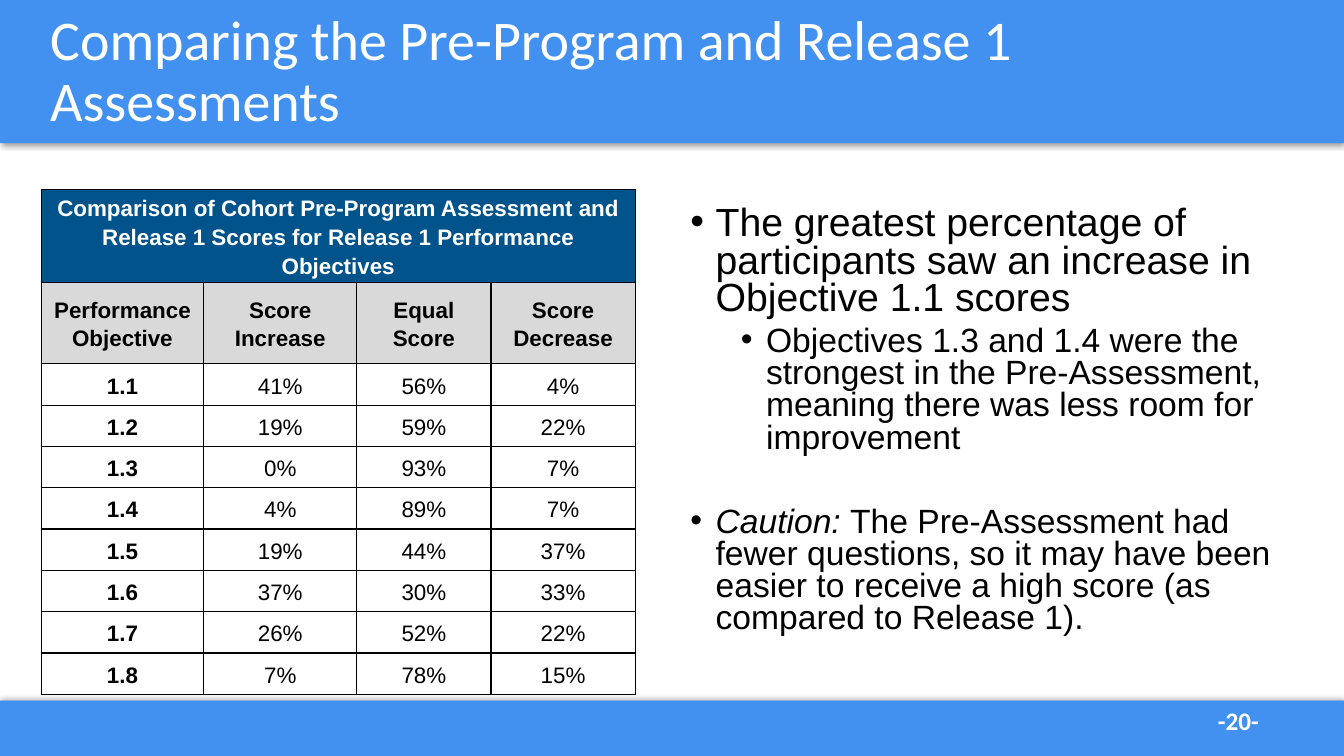
from dataclasses import dataclass

from lxml.etree import SubElement
from pptx import Presentation
from pptx.dml.color import RGBColor
from pptx.enum.shapes import MSO_SHAPE
from pptx.enum.text import MSO_ANCHOR, PP_ALIGN
from pptx.oxml.ns import qn
from pptx.slide import Slide
from pptx.table import _Cell
from pptx.text.text import _Paragraph, _Run
from pptx.util import Inches, Pt


@dataclass(frozen=True)
class Theme:
    band: str = "4291F0"
    table_title: str = "00538B"
    table_head: str = "D9D9D9"
    light: str = "FFFFFF"
    dark: str = "000000"
    heading_font: str = "Calibri"
    body_font: str = "Arial"
    title_size: int = 40
    number_size: int = 18
    table_size: int = 16
    point_size: int = 28
    detail_size: int = 24


@dataclass(frozen=True)
class Band:
    top: float
    height: float
    shadow_angle: int


@dataclass(frozen=True)
class Label:
    text: str
    left: float
    top: float
    width: float
    height: float
    size: int
    bold: bool = False
    anchor: MSO_ANCHOR = MSO_ANCHOR.TOP
    line_spacing: float = 1.0


@dataclass(frozen=True)
class Bullet:
    text: str
    size: int
    indent: float
    space_before: int
    level: int = 0
    lead: str = ""


THEME = Theme()
PAGE_WIDTH, PAGE_HEIGHT = 13.33, 7.5

BANDS = [Band(6.95, 0.55, 270), Band(0, 1.42, 90)]

LABELS = [
    Label("-20-", 11.98, 6.95, 0.98, 0.4, THEME.number_size, bold=True),
    Label("Comparing the Pre-Program and Release 1 Assessments", 0.4, 0, 10.87, 1.45,
          THEME.title_size, anchor=MSO_ANCHOR.MIDDLE, line_spacing=0.9),
]

TABLE_TITLE = ("Comparison of Cohort Pre-Program Assessment and Release 1 Scores "
               "for Release 1 Performance Objectives")
TABLE_HEAD = ["Performance Objective", "Score Increase", "Equal Score", "Score Decrease"]
COLUMN_WIDTHS = [1.61, 1.52, 1.33, 1.43]
HEAD_HEIGHT, ROW_HEIGHT = 0.81, 0.41
SCORES = [
    ("1.1", 41, 56, 4),
    ("1.2", 19, 59, 22),
    ("1.3", 0, 93, 7),
    ("1.4", 4, 89, 7),
    ("1.5", 19, 44, 37),
    ("1.6", 37, 30, 33),
    ("1.7", 26, 52, 22),
    ("1.8", 7, 78, 15),
]

BULLETS = [
    Bullet("The greatest percentage of participants saw an increase in Objective 1.1 scores",
           THEME.point_size, 0.25, 10),
    Bullet("Objectives 1.3 and 1.4 were the strongest in the Pre-Assessment, "
           "meaning there was less room for improvement",
           THEME.detail_size, 0.75, 5, level=1),
    Bullet("The Pre-Assessment had fewer questions, so it may have been easier "
           "to receive a high score (as compared to Release 1).",
           THEME.detail_size, 0.25, 37, lead="Caution: "),
]


def style_run(span: _Run, font: str, size: int, color: str, bold: bool = False) -> None:
    span.font.name = font
    span.font.size = Pt(size)
    span.font.bold = bold
    span.font.color.rgb = RGBColor.from_string(color)


def add_band(page: Slide, band: Band) -> None:
    shape = page.shapes.add_shape(MSO_SHAPE.RECTANGLE, 0, Inches(band.top),
                                  Inches(PAGE_WIDTH), Inches(band.height))
    shape.fill.solid()
    shape.fill.fore_color.rgb = RGBColor.from_string(THEME.band)
    shape.line.fill.background()
    shape.shadow.inherit = False
    effects = shape.element.spPr.find(qn("a:effectLst"))
    shadow = SubElement(effects, qn("a:outerShdw"), blurRad=str(Pt(4)), dist=str(Pt(1)),
                        dir=str(band.shadow_angle * 60000), rotWithShape="0")
    color = SubElement(shadow, qn("a:srgbClr"), val=THEME.dark)
    SubElement(color, qn("a:alpha"), val="40000")


def add_label(page: Slide, label: Label) -> None:
    box = page.shapes.add_textbox(Inches(label.left), Inches(label.top),
                                  Inches(label.width), Inches(label.height))
    frame = box.text_frame
    frame.word_wrap = True
    frame.vertical_anchor = label.anchor
    frame.text = label.text
    para = frame.paragraphs[0]
    para.line_spacing = label.line_spacing
    style_run(para.runs[0], THEME.heading_font, label.size, THEME.light, label.bold)


def add_borders(cell: _Cell) -> None:
    properties = cell._tc.get_or_add_tcPr()
    for side in ("a:lnL", "a:lnR", "a:lnT", "a:lnB"):
        line = SubElement(properties, qn(side), w=str(Pt(1)))
        fill = SubElement(line, qn("a:solidFill"))
        SubElement(fill, qn("a:srgbClr"), val=THEME.dark)


def fill_cell(cell: _Cell, text: str, color: str, bold: bool, fill: str | None) -> None:
    cell.text_frame.text = text
    cell.vertical_anchor = MSO_ANCHOR.MIDDLE
    cell.margin_left = cell.margin_right = Inches(0.07)
    cell.margin_top = cell.margin_bottom = 0
    if fill:
        cell.fill.solid()
        cell.fill.fore_color.rgb = RGBColor.from_string(fill)
    else:
        cell.fill.background()
    para = cell.text_frame.paragraphs[0]
    para.alignment = PP_ALIGN.CENTER
    para.line_spacing = 1.15
    for span in para.runs:
        style_run(span, THEME.body_font, THEME.table_size, color, bold)


def add_score_table(page: Slide) -> None:
    heights = [HEAD_HEIGHT] * 2 + [ROW_HEIGHT] * len(SCORES)
    table = page.shapes.add_table(len(heights), len(COLUMN_WIDTHS), Inches(0.41), Inches(1.88),
                                  Inches(sum(COLUMN_WIDTHS)), Inches(sum(heights))).table
    table.first_row = table.horz_banding = False
    for column, width in zip(table.columns, COLUMN_WIDTHS):
        column.width = Inches(width)
    for row, height in zip(table.rows, heights):
        row.height = Inches(height)
    for cell in table.iter_cells():
        add_borders(cell)

    table.cell(0, 0).merge(table.cell(0, len(COLUMN_WIDTHS) - 1))
    fill_cell(table.cell(0, 0), TABLE_TITLE, THEME.light, True, THEME.table_title)
    for index, heading in enumerate(TABLE_HEAD):
        fill_cell(table.cell(1, index), heading, THEME.dark, True, THEME.table_head)
    for row_index, (objective, *shares) in enumerate(SCORES, start=2):
        fill_cell(table.cell(row_index, 0), objective, THEME.dark, True, None)
        for index, share in enumerate(shares, start=1):
            fill_cell(table.cell(row_index, index), f"{share}%", THEME.dark, False, None)


def write_bullet(para: _Paragraph, bullet: Bullet) -> None:
    para.level = bullet.level
    para.line_spacing = 0.8
    para.space_before = Pt(bullet.space_before)
    properties = para._p.get_or_add_pPr()
    properties.set("marL", str(Inches(bullet.indent)))
    properties.set("indent", str(Inches(-0.25)))
    SubElement(properties, qn("a:buFont"), typeface=THEME.body_font)
    SubElement(properties, qn("a:buChar"), char="•")
    for text in filter(None, (bullet.lead, bullet.text)):
        span = para.add_run()
        span.text = text
        style_run(span, THEME.body_font, bullet.size, THEME.dark)
        span.font.italic = text == bullet.lead


def add_bullets(page: Slide) -> None:
    box = page.shapes.add_textbox(Inches(6.75), Inches(2), Inches(6.34), Inches(4.76))
    frame = box.text_frame
    frame.word_wrap = True
    for index, bullet in enumerate(BULLETS):
        write_bullet(frame.add_paragraph() if index else frame.paragraphs[0], bullet)


def main() -> None:
    deck = Presentation()
    deck.slide_width, deck.slide_height = Inches(PAGE_WIDTH), Inches(PAGE_HEIGHT)
    page = deck.slides.add_slide(deck.slide_layouts[6])
    for band in BANDS:
        add_band(page, band)
    for label in LABELS:
        add_label(page, label)
    add_score_table(page)
    add_bullets(page)
    deck.save("out.pptx")


if __name__ == "__main__":
    main()
